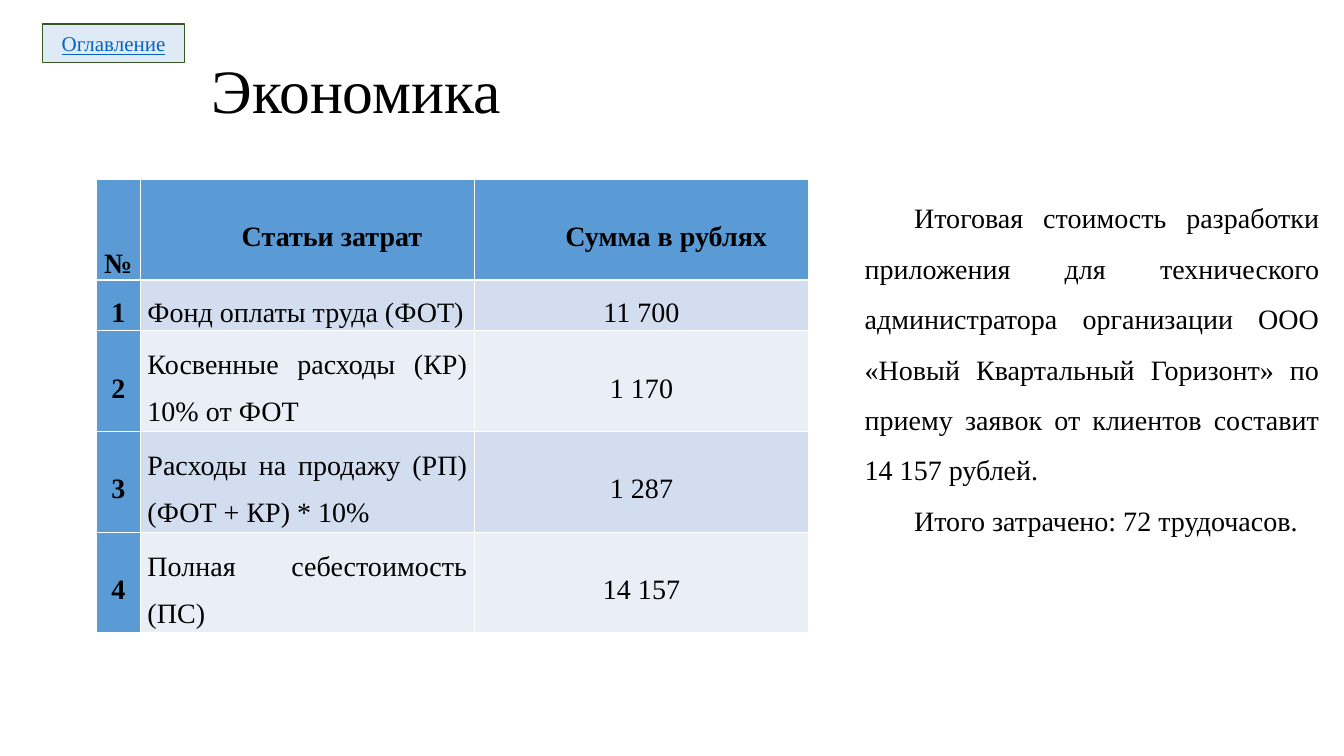
from pptx import Presentation
from pptx.dml.color import RGBColor
from pptx.enum.shapes import MSO_SHAPE
from pptx.enum.text import MSO_ANCHOR, PP_ALIGN
from pptx.util import Inches, Pt

HUES = {"ink": "000000", "head": "5B9BD5", "odd": "D2DEEF", "even": "EAEFF7",
        "pale": "DEEBF7", "edge": "385723", "link": "0563C1"}
TITLE = "Экономика"
BUTTON = "Оглавление"
HEAD = ("№", "Статьи затрат", "Сумма в рублях")
COSTS = [
    ("Фонд оплаты труда (ФОТ)", "11 700"),
    ("Косвенные расходы (КР) 10% от ФОТ", "1 170"),
    ("Расходы на продажу (РП) (ФОТ + КР) * 10%", "1 287"),
    ("Полная себестоимость (ПС)", "14 157"),
]
NOTES = [
    "Итоговая стоимость разработки приложения для технического "
    "администратора организации ООО «Новый Квартальный Горизонт» по приему "
    "заявок от клиентов составит 14 157 рублей.",
    "Итого затрачено: 72 трудочасов.",
]

WIDE, HIGH = 13.33, 7.5
SPOTS = {
    "title": (0.15, 0.03, 0.731, 0.187),
    "button": (0.0315, 0.032, 0.106, 0.051),
    "table": (0.0715, 0.237, 0.53, 0.597),
    "notes": (0.636, 0.237, 0.353, 0.485),
}
COLS = (0.44, 3.31, 3.32)
LINE = 0.5
LINES = (2, 1, 2, 2, 2)
INDENT = 0.49
FONT = {"name": "Times New Roman", "size": Pt(20), "bold": False}
PARA = {"alignment": PP_ALIGN.JUSTIFY, "line_spacing": 1.5}
MID = {"alignment": PP_ALIGN.CENTER}
CELL = {"margin_left": Inches(0.07), "margin_right": Inches(0.07),
        "margin_top": 0, "margin_bottom": 0}


def put(item, look):
    for key, val in look.items():
        setattr(item, key, val)


def spot(name):
    return [Inches(part * side)
            for part, side in zip(SPOTS[name], (WIDE, HIGH) * 2)]


def tint(item, hue):
    item.fill.solid()
    item.fill.fore_color.rgb = RGBColor.from_string(HUES[hue])


def write(frame, texts, para=None, font=None, hue="ink", indent=0):
    frame.word_wrap = True
    for num, text in enumerate(texts):
        line = frame.add_paragraph() if num else frame.paragraphs[0]
        put(line, PARA | (para or {}))
        run = line.add_run()
        run.text = text
        put(run.font, FONT | (font or {}))
        run.font.color.rgb = RGBColor.from_string(HUES[hue])
        if indent:
            line._p.get_or_add_pPr().set("indent", str(Inches(indent)))


deck = Presentation()
put(deck, {"slide_width": Inches(WIDE), "slide_height": Inches(HIGH)})
slide = deck.slides.add_slide(deck.slide_layouts[5])
shapes = slide.shapes

title = shapes.title
put(title, dict(zip(("left", "top", "width", "height"), spot("title"))))
title.text_frame.vertical_anchor = MSO_ANCHOR.MIDDLE
write(title.text_frame, [TITLE],
      {"alignment": PP_ALIGN.LEFT, "line_spacing": 0.9}, {"size": Pt(44)})

button = shapes.add_shape(MSO_SHAPE.RECTANGLE, *spot("button"))
button.shadow.inherit = False
tint(button, "pale")
button.line.color.rgb = RGBColor.from_string(HUES["edge"])
button.line.width = Pt(1)
button.text_frame.vertical_anchor = MSO_ANCHOR.MIDDLE
write(button.text_frame, [BUTTON], MID | {"line_spacing": 1.0},
      {"size": Pt(15), "underline": True}, "link")

notes = shapes.add_textbox(*spot("notes"))
write(notes.text_frame, NOTES, indent=INDENT)

rows = [HEAD] + [(str(num), *cost) for num, cost in enumerate(COSTS, 1)]
table = shapes.add_table(len(rows), len(COLS), *spot("table")).table
for col, width in zip(table.columns, COLS):
    col.width = Inches(width)
for row, count in zip(table.rows, LINES):
    row.height = Inches(LINE * count)
for r, row in enumerate(rows):
    for c, text in enumerate(row):
        cell = table.cell(r, c)
        key = r == 0 or c == 0
        low = r == 0 and c == 0
        put(cell, CELL | {"vertical_anchor":
                          MSO_ANCHOR.BOTTOM if low else MSO_ANCHOR.MIDDLE})
        tint(cell, "head" if key else "odd" if r % 2 else "even")
        write(cell.text_frame, [text], MID if key or c == 2 else None,
              {"bold": key}, indent=INDENT if r == 0 and c else 0)

deck.save("out.pptx")
